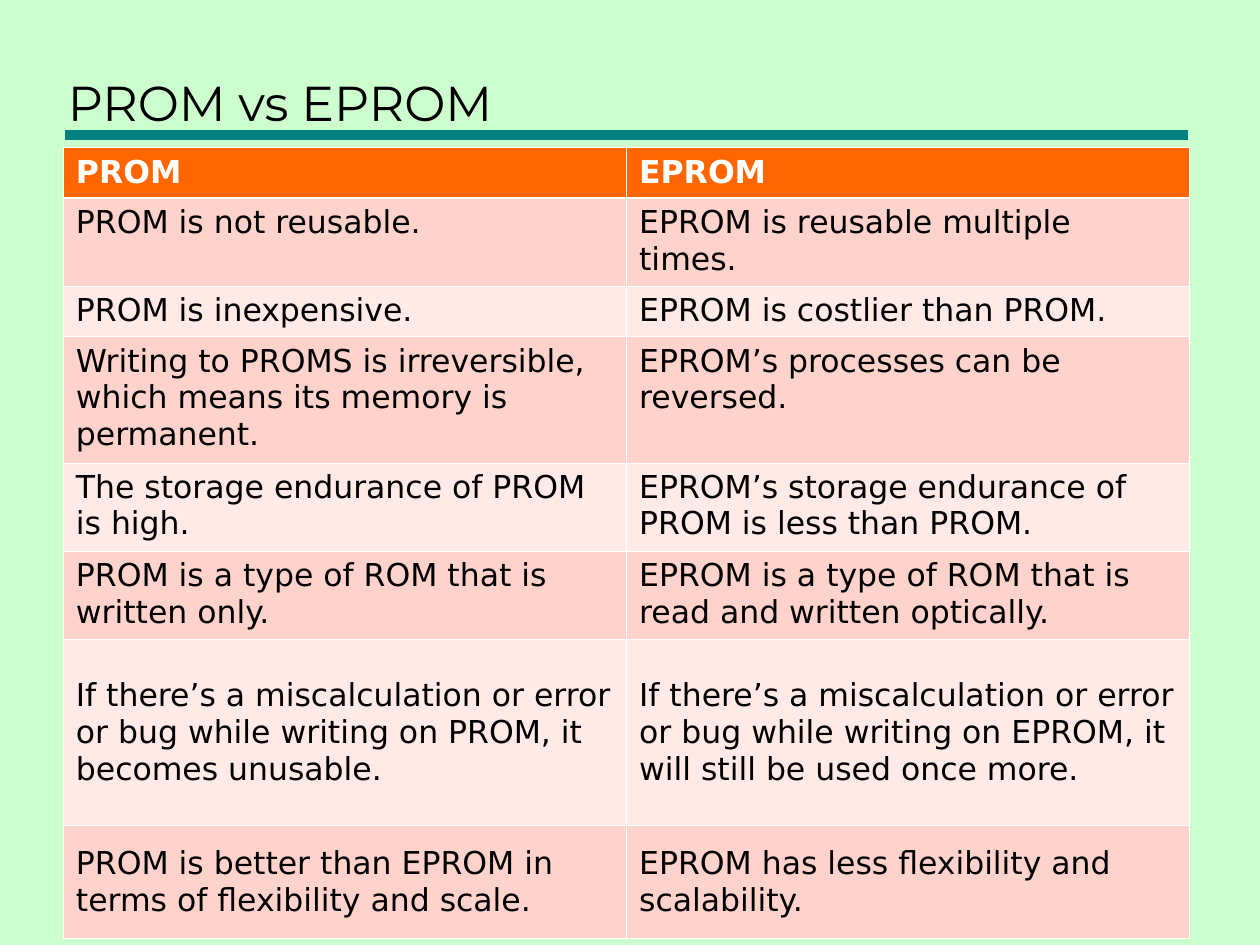
from lxml import etree
from pptx import Presentation
from pptx.dml.color import RGBColor
from pptx.enum.shapes import MSO_CONNECTOR
from pptx.enum.text import MSO_ANCHOR
from pptx.oxml.ns import qn
from pptx.util import Pt

STRAIGHT = MSO_CONNECTOR.STRAIGHT
TOP, MIDDLE, BOTTOM = MSO_ANCHOR.TOP, MSO_ANCHOR.MIDDLE, MSO_ANCHOR.BOTTOM

BACKGROUND, RULE, HEADER = "CDFFCE", "008080", "FF6600"
BANDS = ("FFD3CB", "FFEAE7")
WHITE, BLACK = "FFFFFF", "000000"
THIN, THICK = 0.45, 1.47

# Row height, text anchor, PROM text, EPROM text
ROWS = [
    (28.8, TOP, "PROM", "EPROM"),
    (50.4, TOP, "PROM is not reusable.", "EPROM is reusable multiple times."),
    (28.8, TOP, "PROM is inexpensive.", "EPROM is costlier than PROM."),
    (72, TOP, "Writing to PROMS is irreversible, which means its memory is permanent.",
     "EPROM’s processes can be reversed."),
    (50.4, TOP, "The storage endurance of PROM is high.",
     "EPROM’s storage endurance of PROM is less than PROM."),
    (50.4, TOP, "PROM is a type of ROM that is written only.",
     "EPROM is a type of ROM that is read and written optically."),
    (106.56, MIDDLE,
     "If there’s a miscalculation or error or bug while writing on PROM, it becomes unusable.",
     "If there’s a miscalculation or error or bug while writing on EPROM, "
     "it will still be used once more."),
    (64.08, MIDDLE, "PROM is better than EPROM in terms of flexibility and scale.",
     "EPROM has less flexibility and scalability."),
]


def color(value):
    return RGBColor.from_string(value)


def style_font(para, name, size, value, bold=False):
    font = para.font
    font.name, font.size, font.bold = name, Pt(size), bold
    font.color.rgb = color(value)


def set_borders(cell, top, bottom):
    """Draw white borders; the fill must be set later, as it follows them in the XML."""
    properties = cell._tc.get_or_add_tcPr()
    for tag, width in (("lnL", THIN), ("lnR", THIN), ("lnT", top), ("lnB", bottom)):
        line = etree.SubElement(properties, qn(f"a:{tag}"), w=str(Pt(width)))
        fill = etree.SubElement(line, qn("a:solidFill"))
        etree.SubElement(fill, qn("a:srgbClr"), val=WHITE)


def add_title(page, left, top, width, height):
    box = page.shapes.add_textbox(Pt(left), Pt(top), Pt(width), Pt(height))
    frame = box.text_frame
    frame.word_wrap = True
    frame.vertical_anchor = BOTTOM
    frame.text = "PROM vs EPROM"
    style_font(frame.paragraphs[0], "Montserrat", 28, BLACK)


def add_rule(page, left, top, width):
    rule = page.shapes.add_connector(STRAIGHT, Pt(left), Pt(top), Pt(left + width), Pt(top))
    rule.line.color.rgb = color(RULE)
    rule.line.width = Pt(6)
    etree.SubElement(rule._element.spPr, qn("a:effectLst"))


def add_comparison(page, left, top, width):
    height = sum(row[0] for row in ROWS)
    table = page.shapes.add_table(len(ROWS), 2, Pt(left), Pt(top), Pt(width), Pt(height)).table
    for column in table.columns:
        column.width = Pt(width / 2)
    for index, (row_height, anchor, *texts) in enumerate(ROWS):
        table.rows[index].height = Pt(row_height)
        is_header = index == 0
        for column, text in enumerate(texts):
            cell = table.cell(index, column)
            set_borders(cell, THICK if index == 1 else THIN, THICK if is_header else THIN)
            cell.fill.solid()
            cell.fill.fore_color.rgb = color(HEADER if is_header else BANDS[(index - 1) % 2])
            cell.vertical_anchor = anchor
            cell.text = text
            style_font(cell.text_frame.paragraphs[0], "DejaVu Sans", 18,
                       WHITE if is_header else BLACK, is_header)


def main():
    deck = Presentation()
    deck.slide_width, deck.slide_height = Pt(720), Pt(540)
    page = deck.slides.add_slide(deck.slide_layouts[6])
    page.background.fill.solid()
    page.background.fill.fore_color.rgb = color(BACKGROUND)
    add_rule(page, 36.9, 77.04, 642)
    add_title(page, 31.7, 12.24, 645.8, 66.24)
    add_comparison(page, 36.2, 84.4, 643.7)
    deck.save("out.pptx")


if __name__ == "__main__":
    main()
